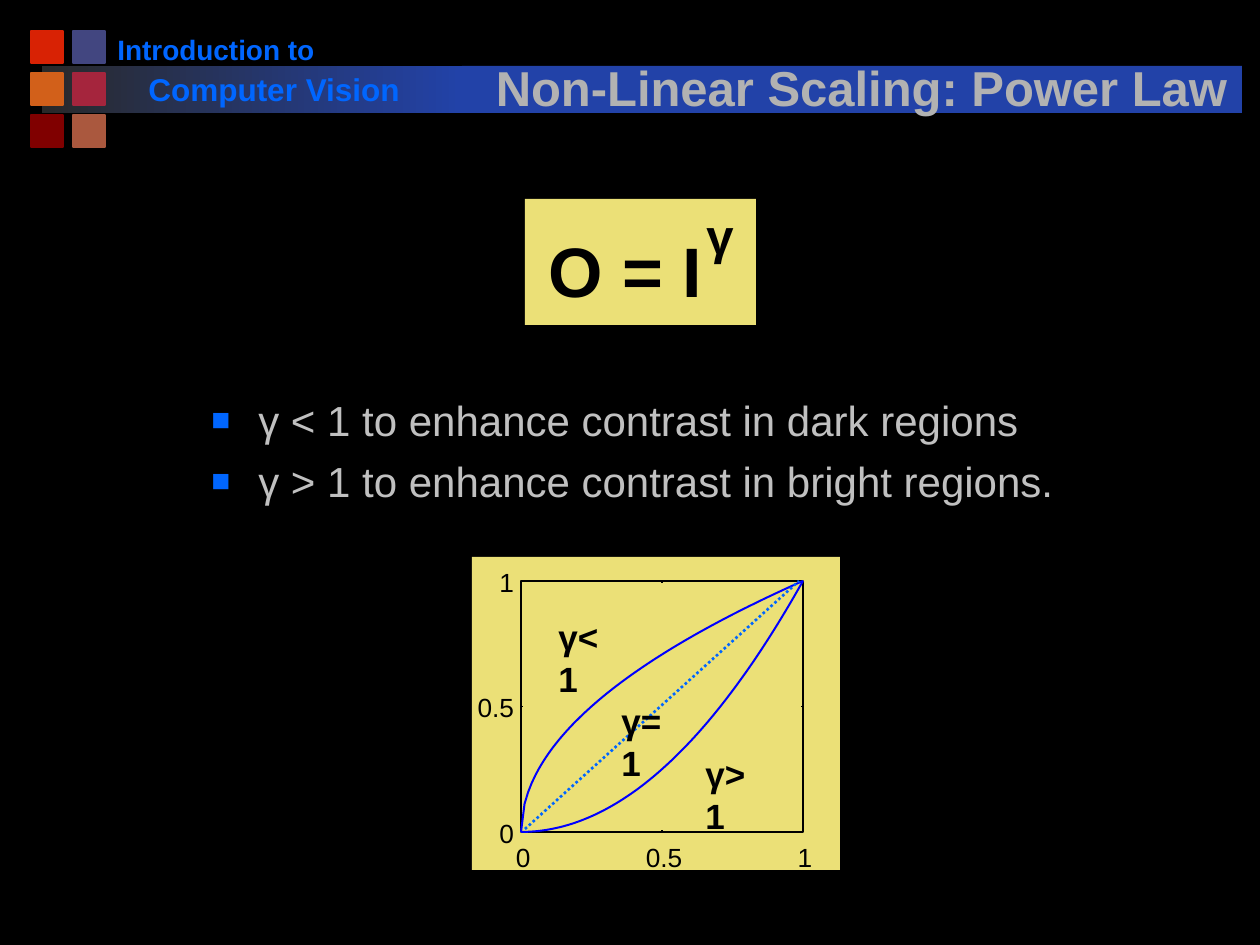
from lxml import etree
from pptx import Presentation
from pptx import util as u
from pptx.dml.color import RGBColor
from pptx.enum import dml, shapes, text
from pptx.oxml import ns

COLORS = {
    "background": "000000", "black": "000000", "dark": "292929", "band": "2242A8",
    "panel": "EBE077", "accent": "0066FF", "curve": "0000FF",
    "title": "B2B2B2", "body": "C0C0C0",
}
FONT = "Arial"

SQUARES = [
    ["D82204", "424680"],
    ["D2601A", "A5253D"],
    ["800000", "AA583E"],
]
SQUARE_LEFT, SQUARE_TOP, SQUARE_SIZE, SQUARE_STEP = 31, 31, 32, 42

HEADINGS = [
    ("Introduction to", (105, 26, 223, 47), 16),
    ("Computer Vision", (136, 64, 319, 50), 18),
]
TITLE = "Non-Linear Scaling: Power Law"
BULLETS = [
    "γ < 1 to enhance contrast in dark regions",
    "γ > 1 to enhance contrast in bright regions.",
]
FORMULA = [
    ("O = I", (536, 221, 179, 97), 40),
    ("γ", (694, 199, 45, 72), 28),
]
CURVE_LABELS = [
    ("γ=1", 609, 693),
    ("γ<1", 546, 609),
    ("γ>1", 693, 746),
]
PLOT_LEFT, PLOT_TOP, PLOT_WIDTH, PLOT_HEIGHT = 521, 581, 282, 251
TICKS = [(0, "0"), (0.5, "0.5"), (1, "1")]
TICK_LENGTH = 2
GAMMAS = [0.5, 2]
CURVE_STEPS = 80


def px(value):
    return u.Emu(round(value * 914400 / 126))


def rgb(name):
    return RGBColor.from_string(COLORS.get(name, name))


def add_rectangle(slide, box, fill=None, line=None, width=1):
    shape = slide.shapes.add_shape(shapes.MSO_SHAPE.RECTANGLE, *map(px, box))
    shape.shadow.inherit = False
    if fill:
        shape.fill.solid()
        shape.fill.fore_color.rgb = rgb(fill)
    if line:
        shape.line.color.rgb = rgb(line)
        shape.line.width = u.Pt(width)
    else:
        shape.line.fill.background()
    return shape


def add_text(slide, content, box, size, color, bold=False, wrap=False,
             align=text.PP_ALIGN.LEFT, anchor=text.MSO_ANCHOR.TOP, inset=True):
    frame = slide.shapes.add_textbox(*map(px, box)).text_frame
    frame.word_wrap = wrap
    frame.vertical_anchor = anchor
    if not inset:
        frame.margin_left = frame.margin_right = 0
        frame.margin_top = frame.margin_bottom = 0
    frame.text = content
    for paragraph in frame.paragraphs:
        paragraph.alignment = align
        for run in paragraph.runs:
            run.font.name = FONT
            run.font.size = u.Pt(size)
            run.font.bold = bold
            run.font.color.rgb = rgb(color)
    return frame


def add_line(slide, start, end, color="black", width=1.13):
    line = slide.shapes.add_connector(
        shapes.MSO_CONNECTOR.STRAIGHT, *map(px, start + end))
    line.line.color.rgb = rgb(color)
    line.line.width = u.Pt(width)
    etree.SubElement(line._element.spPr, ns.qn("a:effectLst"))
    return line


def add_text_shadow(run):
    properties = run._r.get_or_add_rPr()
    effects = etree.Element(ns.qn("a:effectLst"))
    shadow = etree.SubElement(effects, ns.qn("a:outerShdw"),
                              dist="35921", dir="2700000", algn="ctr")
    etree.SubElement(shadow, ns.qn("a:srgbClr"), val=COLORS["black"])
    properties.find(ns.qn("a:solidFill")).addnext(effects)


def add_bullet(paragraph):
    properties = paragraph._p.get_or_add_pPr()
    properties.set("marL", str(px(47)))
    properties.set("indent", str(-px(47)))
    color = etree.SubElement(properties, ns.qn("a:buClr"))
    etree.SubElement(color, ns.qn("a:srgbClr"), val=COLORS["accent"])
    etree.SubElement(properties, ns.qn("a:buSzPct"), val="75000")
    etree.SubElement(properties, ns.qn("a:buFont"), typeface=FONT)
    etree.SubElement(properties, ns.qn("a:buChar"), char="■")


def plot_point(x, y):
    return PLOT_LEFT + x * PLOT_WIDTH, PLOT_TOP + (1 - y) * PLOT_HEIGHT


def add_header(slide):
    gradient = add_rectangle(slide, (42, 66, 420, 47))
    gradient.fill.gradient()
    gradient.fill.gradient_angle = 0
    for stop, color, position in zip(gradient.fill.gradient_stops, ("dark", "band"), (0, 1)):
        stop.color.rgb = rgb(color)
        stop.position = position
    for row, colors in enumerate(SQUARES):
        for column, color in enumerate(colors):
            box = (SQUARE_LEFT + column * SQUARE_STEP, SQUARE_TOP + row * SQUARE_STEP,
                   SQUARE_SIZE, SQUARE_SIZE)
            add_rectangle(slide, box, color, color)
    for content, box, size in HEADINGS:
        add_text(slide, content, box, size, "accent", bold=True)
    add_rectangle(slide, (462, 66, 780, 47), "band")
    title = add_text(slide, TITLE, (473, 39, 777, 84), 28, "title", bold=True, wrap=True,
                     align=text.PP_ALIGN.CENTER, anchor=text.MSO_ANCHOR.BOTTOM)
    add_text_shadow(title.paragraphs[0].runs[0])


def add_content(slide):
    add_rectangle(slide, (525, 199, 231, 126), "panel")
    for content, box, size in FORMULA:
        add_text(slide, content, box, size, "black", bold=True)
    body = add_text(slide, "\n".join(BULLETS), (199, 388, 908, 136), 24, "body", wrap=True)
    for index, paragraph in enumerate(body.paragraphs):
        if index:
            paragraph.space_before = u.Pt(6)
        add_bullet(paragraph)


def add_plot(slide):
    add_rectangle(slide, (472, 557, 368, 313), "panel")
    add_rectangle(slide, (PLOT_LEFT, PLOT_TOP, PLOT_WIDTH, PLOT_HEIGHT),
                  "panel", "black", 1.13)
    for value, label in TICKS:
        for edge, inward in ((0, 1), (1, -1)):
            x, y = plot_point(value, edge)
            add_line(slide, (x, y), (x, y - inward * TICK_LENGTH))
            x, y = plot_point(edge, value)
            add_line(slide, (x, y), (x + inward * TICK_LENGTH, y))
        x, y = plot_point(value, 0)
        add_text(slide, label, (x - 19, y + 9, 42, 31), 15, "black",
                 align=text.PP_ALIGN.CENTER, wrap=True, inset=False)
        x, y = plot_point(0, value)
        add_text(slide, label, (x - 49, y - 15, 42, 31), 15, "black",
                 align=text.PP_ALIGN.RIGHT, wrap=True, inset=False)
    for gamma in GAMMAS:
        points = []
        for step in range(CURVE_STEPS + 1):
            fraction = step / CURVE_STEPS
            points.append(tuple(map(px, plot_point(fraction, fraction ** gamma))))
        builder = slide.shapes.build_freeform(*points[0])
        builder.add_line_segments(points[1:], close=False)
        curve = builder.convert_to_shape()
        curve.shadow.inherit = False
        curve.fill.background()
        curve.line.color.rgb = rgb("curve")
        curve.line.width = u.Pt(1.13)
    diagonal = add_line(slide, (525, 829), (799, 581), "accent", 1.5)
    diagonal.line.dash_style = dml.MSO_LINE.ROUND_DOT
    for label, left, top in CURVE_LABELS:
        add_text(slide, label, (left, top, 77, 54), 20, "black", bold=True, wrap=True)


def main():
    presentation = Presentation()
    presentation.slide_width, presentation.slide_height = px(1260), px(945)
    slide = presentation.slides.add_slide(presentation.slide_layouts[6])
    slide.background.fill.solid()
    slide.background.fill.fore_color.rgb = rgb("background")
    add_header(slide)
    add_content(slide)
    add_plot(slide)
    presentation.save("out.pptx")


if __name__ == "__main__":
    main()
